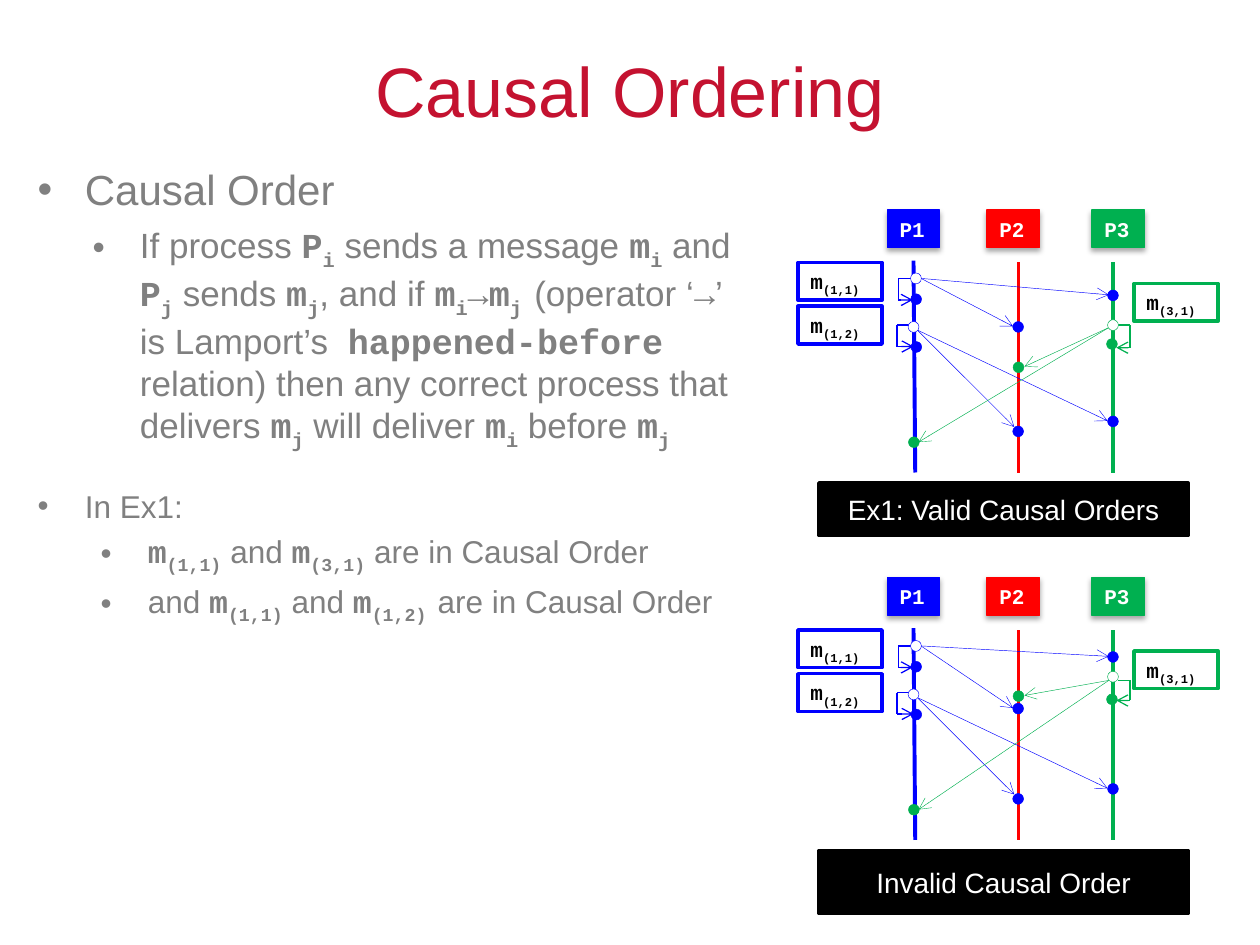
from lxml import etree
from pptx import Presentation
from pptx.dml.color import RGBColor
from pptx.enum.shapes import MSO_CONNECTOR, MSO_SHAPE
from pptx.enum.text import MSO_ANCHOR, PP_ALIGN
from pptx.oxml.ns import qn
from pptx.util import Pt

RECT, OVAL, STRAIGHT = MSO_SHAPE.RECTANGLE, MSO_SHAPE.OVAL, MSO_CONNECTOR.STRAIGHT
TOP, MIDDLE = MSO_ANCHOR.TOP, MSO_ANCHOR.MIDDLE
LEFT, CENTER = PP_ALIGN.LEFT, PP_ALIGN.CENTER
BLUE, RED, GREEN = RGBColor(0, 0, 255), RGBColor(255, 0, 0), RGBColor(0, 176, 80)
BLACK, WHITE = RGBColor(0, 0, 0), RGBColor(255, 255, 255)
CRIMSON, GRAY = RGBColor(196, 18, 48), RGBColor(128, 128, 128)
SANS, MONO = "Arial", "Courier New"

# Text between bars is bold monospace; inside it, "_" starts a subscript
TITLE = "Causal Ordering"
# level, left margin, size, space before, text
BODY = [
    (0, 27, 24, 0, "Causal Order"),
    (1, 58.5, 20, 5.5,
     "If process |P_i| sends a message |m_i| and |P_j| sends |m_j|, and if "
     "|m_i||→m_j |(operator ‘|→|’ is Lamport’s  |happened-before| relation) "
     "then any correct process that delivers |m_j| will deliver |m_i| before |m_j|"),
    (1, 27, 18, 20.5, "In Ex1:"),
    (2, 63, 18, 4.2, "|m_(1,1)| and |m_(3,1)| are in Causal Order"),
    (2, 63, 18, 4.2, "and |m_(1,1)| and |m_(1,2) |are in Causal Order"),
]
HANGING = 27

# Heights in a diagram count down from the top of its process heads
# name, colour, head left, lifeline from, lifeline to
PROCESSES = [
    ("P1", BLUE, 507, (522, 29), (523, 150)),
    ("P2", RED, 564, (582, 30), (582, 150)),
    ("P3", GREEN, 624, (636, 30), (636, 150)),
]
# text, colour, left, top
LABELS = [
    ("|m_(1,1)|", BLUE, 456, 30),
    ("|m_(1,2)|", BLUE, 456, 55),
    ("|m_(3,1)|", GREEN, 648, 42),
]
# Messages shared by both diagrams: colour, send point, arrow start,
# receipts as (arrow end, dot), loop as (outer x, start x, end x, top, bottom), own dot
FIRST_LOOP = (513.4, 520.6, 521.6, 39.1, 51.4)
SECOND = (BLUE, (522, 66.8), (524.2, 68.6),
          [((579.6, 124), (581.8, 126.5)), ((632.9, 120.5), (636, 120.8))],
          (512.6, 519.8, 522, 65.8, 78), (523.6, 78.3))


def first_message(y2, y3):
    return (BLUE, (523.4, 39.1), (526.3, 39.1),
            [((578.9, y2), (581.8, y2 + 0.3)), ((633.6, y3), (636, y3 + 0.3))],
            FIRST_LOOP, (523.5, 51))


def third_message(y, start, y2, loop, own):
    return (GREEN, (636, y), (633.6, start),
            [((585.4, y2), (582, y2 + 0.4)), ((524.9, 132.6), (522.2, 132.7))],
            (645.8, 638.6, 637.9, *loop), (635.4, own))


# top, caption, caption height, messages
DIAGRAMS = [
    (120, "Ex1: Valid Causal Orders", 30,
     [first_message(66.5, 48.5), SECOND, third_message(65.8, 67.2, 89.5, (65.8, 78.7), 76.6)]),
    (330, "Invalid Causal Order", 36,
     [first_message(74.6, 45.1), SECOND, third_message(56.7, 58.8, 67.4, (58.8, 70.3), 69.6)]),
]


def add_span(para, text, **formats):
    span = para.add_run()
    span.text = text
    color = formats.pop("color")
    subscript = formats.pop("subscript", False)
    for name, value in formats.items():
        setattr(span.font, name, value)
    span.font.color.rgb = color
    if subscript:
        span.font._element.set("baseline", "-25000")


def write(para, text, size, color):
    for index, part in enumerate(text.split("|")):
        mono = index % 2 == 1
        for depth, piece in enumerate(part.split("_")):
            if piece:
                add_span(para, piece, size=Pt(size), color=color, subscript=depth > 0,
                         name=MONO if mono else SANS, bold=mono and piece != "→")


def add_bullet(para, margin):
    properties = para._p.get_or_add_pPr()
    properties.set("marL", str(Pt(margin)))
    properties.set("indent", str(-Pt(HANGING)))
    etree.SubElement(properties, qn("a:buFont"), typeface=SANS)
    etree.SubElement(properties, qn("a:buChar"), char="•")


def add_text_box(left, top, width, height, anchor):
    frame = page.shapes.add_textbox(Pt(left), Pt(top), Pt(width), Pt(height)).text_frame
    frame.word_wrap, frame.vertical_anchor = True, anchor
    return frame


def add_box(kind, left, top, width, height, fill, line, weight):
    box = page.shapes.add_shape(kind, Pt(left), Pt(top), Pt(width), Pt(height))
    box.shadow.inherit = False
    box.fill.solid()
    box.fill.fore_color.rgb = fill
    box.line.color.rgb = line
    box.line.width = Pt(weight)
    return box


def add_label(box, text, size, color, align=LEFT, anchor=TOP):
    box.text_frame.vertical_anchor = anchor
    para = box.text_frame.paragraphs[0]
    para.alignment = align
    write(para, text, size, color)


def add_shadow(box):
    effects = box._element.spPr.find(qn("a:effectLst"))
    shadow = etree.SubElement(effects, qn("a:outerShdw"), blurRad=str(Pt(3.1)),
                              dist=str(Pt(1.8)), dir="5400000", rotWithShape="0")
    color = etree.SubElement(shadow, qn("a:srgbClr"), val=str(BLACK))
    etree.SubElement(color, qn("a:alpha"), val="35000")


def add_line(top, start, end, color, weight, arrow=False):
    line = page.shapes.add_connector(STRAIGHT, Pt(start[0]), Pt(top + start[1]),
                                     Pt(end[0]), Pt(top + end[1]))
    line.line.color.rgb = color
    line.line.width = Pt(weight)
    if arrow:
        etree.SubElement(line.line._get_or_add_ln(), qn("a:tailEnd"), type="arrow")
    etree.SubElement(line._element.spPr, qn("a:effectLst"))


def add_dot(top, center, fill, line, size=6.2):
    x, y = center
    add_box(OVAL, x - size / 2, top + y - size / 2, size, size, fill, line, 0.25)


def draw_message(top, color, send, start, receipts, loop, own_dot):
    for end, dot in receipts:
        add_line(top, start, end, color, 0.25, arrow=True)
        add_dot(top, dot, color, color)
    outer, near, back, upper, lower = loop
    add_line(top, (near, upper), (outer, upper), color, 0.75)
    add_line(top, (outer, upper), (outer, lower), color, 0.75)
    add_line(top, (outer, lower), (back, lower), color, 0.75, arrow=True)
    add_dot(top, own_dot, color, color)
    add_dot(top, send, WHITE, color)


def draw_diagram(top, caption, caption_height, messages):
    for text, color, left, y in LABELS:
        add_label(add_box(RECT, left, top + y, 48, 21.6, WHITE, color, 2), text, 12, BLACK)
    for name, color, left, start, end in PROCESSES:
        add_line(top, start, end, color, 2.25)
        head = add_box(RECT, left, top, 30, 21.6, color, color, 0.75)
        add_shadow(head)
        add_label(head, f"|{name}|", 12, WHITE)
    for message in messages:
        draw_message(top, *message)
    box = add_box(RECT, 468, top + 156, 211, caption_height, BLACK, BLACK, 2)
    add_label(box, caption, 16, WHITE, CENTER, MIDDLE)


deck = Presentation()
deck.slide_width, deck.slide_height = Pt(720), Pt(540)
page = deck.slides.add_slide(deck.slide_layouts[6])

# Title
title = add_text_box(36, 6, 648, 90, MIDDLE).paragraphs[0]
title.alignment = CENTER
write(title, TITLE, 40, CRIMSON)

# Bulleted explanation
body = add_text_box(14.4, 90, 423.6, 426, TOP)
for index, (level, margin, size, before, text) in enumerate(BODY):
    para = body.add_paragraph() if index else body.paragraphs[0]
    para.level = level
    para.space_before = Pt(before)
    add_bullet(para, margin)
    write(para, text, size, GRAY)

# Message diagrams
for diagram in DIAGRAMS:
    draw_diagram(*diagram)

deck.save("out.pptx")
